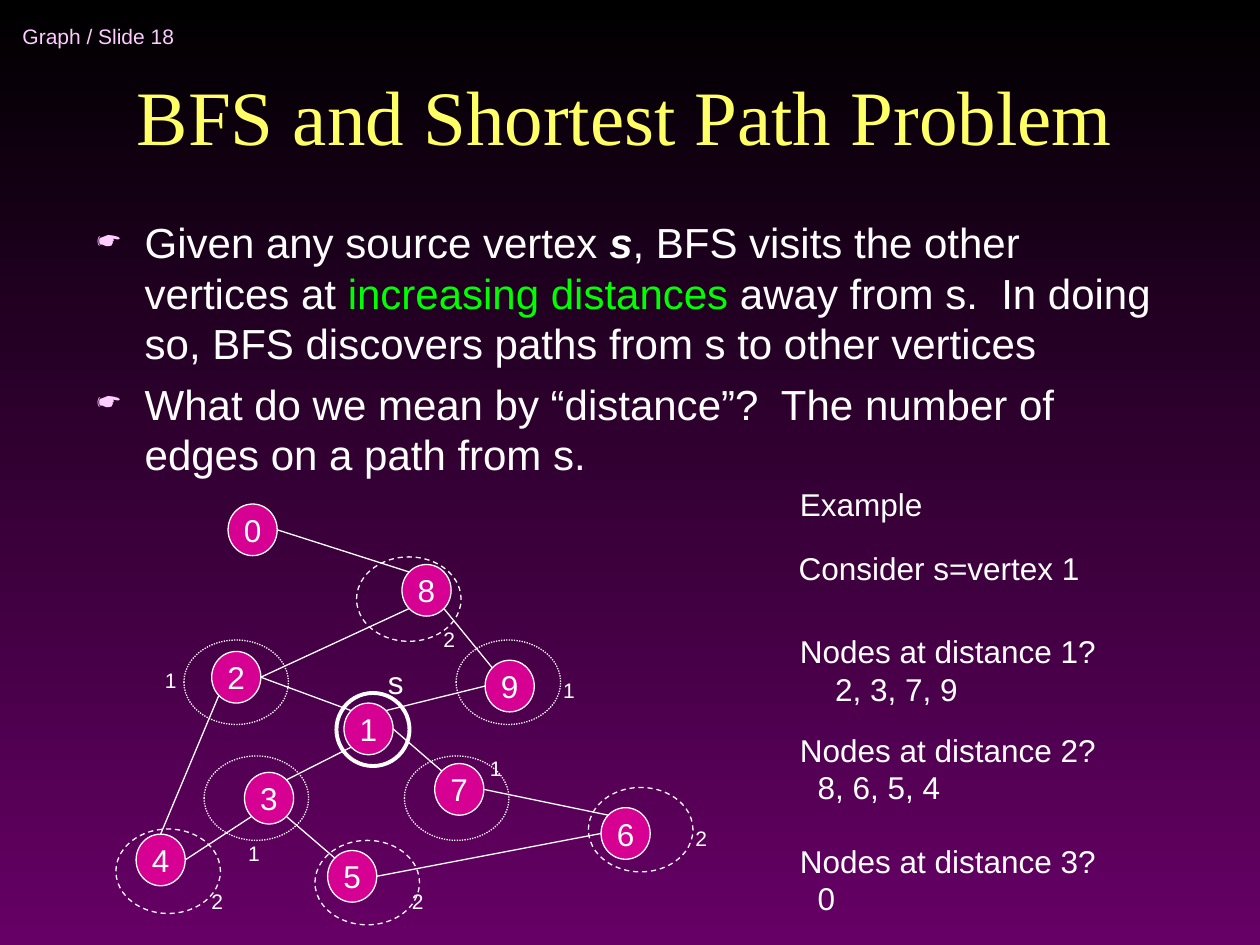
from lxml.etree import SubElement
from pptx import Presentation
from pptx.dml.color import RGBColor
from pptx.enum.dml import MSO_LINE
from pptx.enum.shapes import MSO_CONNECTOR, MSO_SHAPE
from pptx.enum.text import MSO_ANCHOR, PP_ALIGN
from pptx.oxml.ns import qn
from pptx.util import Inches, Pt

COLORS = {
    "night": "000000",
    "purple": "660066",
    "white": "FFFFFF",
    "yellow": "FFFF66",
    "pink": "FFCCFF",
    "green": "00FF00",
    "magenta": "D60093",
}

NODE_SIZE = (0.39, 0.41)
RING_SIZE = (0.83, 0.67)
LABEL_SIZE = (0.29, 0.3)

# Positions inside the graph box
NODES = {
    0: (0.89, 0), 1: (1.81, 1.58), 2: (0.76, 1.17), 3: (1.02, 2.13),
    4: (0.16, 2.62), 5: (1.68, 2.75), 6: (3.85, 2.41), 7: (2.53, 2.06),
    8: (2.27, 0.48), 9: (2.93, 1.24),
}
DIAGONAL = 0.71
SITES = {
    "top": (0, -1), "left": (-1, 0), "right": (1, 0),
    "top left": (-DIAGONAL, -DIAGONAL), "top right": (DIAGONAL, -DIAGONAL),
    "bottom left": (-DIAGONAL, DIAGONAL), "bottom right": (DIAGONAL, DIAGONAL),
}
EDGES = [
    (0, "right", 8, "top left"),
    (8, "bottom right", 9, "top left"),
    (9, "left", 1, "top right"),
    (8, "bottom left", 2, "right"),
    (2, "right", 1, "top left"),
    (2, "bottom left", 4, "top"),
    (4, "right", 3, "bottom left"),
    (3, "top right", 1, "bottom left"),
    (3, "bottom right", 5, "top left"),
    (5, "right", 6, "left"),
    (1, "right", 7, "top left"),
    (7, "right", 6, "top left"),
]
# Distance: dash and (ring, label) positions
DISTANCES = {
    "1": (MSO_LINE.ROUND_DOT, [
        ((0.54, 1.08), (0.29, 1.25)), ((0.7, 2), (0.95, 2.62)),
        ((2.29, 2), (2.87, 1.95)), ((2.7, 1.08), (3.45, 1.33)),
    ]),
    "2": (MSO_LINE.DASH, [
        ((1.91, 0.42), (2.5, 0.92)), ((0, 2.58), (0.66, 3)),
        ((1.58, 2.67), (2.25, 3)), ((3.75, 2.25), (4.5, 2.5)),
    ]),
}
# Place inside the example box, size, lines with their indent
EXAMPLE = [
    (0.01, 0, 1.17, 0.4, [("Example", 0)]),
    (0, 0.51, 2.43, 0.4, [("Consider s=vertex 1", 0)]),
    (0.01, 1.17, 2.55, 0.7, [("Nodes at distance 1?", 0), ("2, 3, 7, 9", 0.28)]),
    (0.01, 1.95, 2.55, 0.7, [("Nodes at distance 2?", 0), ("8, 6, 5, 4", 0.14)]),
    (0.01, 2.83, 2.55, 0.7, [("Nodes at distance 3?", 0), ("0", 0.14)]),
]
BULLETS = [
    [("Given any source vertex ", {}),
     ("s", {"bold": True, "italic": True}),
     (", BFS visits the other vertices at ", {}),
     ("increasing distances", {"color": "green"}),
     (" away from s.  In doing so, BFS discovers paths from s to other vertices", {})],
    [("What do we mean by “distance”?  The number of edges on a path from s.", {})],
]


def rgb(name):
    return RGBColor.from_string(COLORS[name])


def add_span(para, text, **format_values):
    span = para.add_run()
    span.text = text
    values = {"name": "Arial", "size": 18, "color": "white", **format_values}
    span.font.color.rgb = rgb(values.pop("color"))
    values["size"] = Pt(values["size"])
    for key, value in values.items():
        setattr(span.font, key, value)


def add_text_box(page, left, top, width, height, wrap=False, anchor=MSO_ANCHOR.TOP):
    box = page.shapes.add_textbox(Inches(left), Inches(top), Inches(width), Inches(height))
    box.text_frame.word_wrap = wrap
    box.text_frame.vertical_anchor = anchor
    return box.text_frame


def add_label(page, left, top, width, height, text, **format_values):
    frame = add_text_box(page, left, top, width, height)
    add_span(frame.paragraphs[0], text, **format_values)


def add_ellipse(page, left, top, width, height, fill=None, weight=0.75, dash=None):
    ellipse = page.shapes.add_shape(
        MSO_SHAPE.OVAL, Inches(left), Inches(top), Inches(width), Inches(height))
    ellipse.shadow.inherit = False
    if fill:
        ellipse.fill.solid()
        ellipse.fill.fore_color.rgb = rgb(fill)
    else:
        ellipse.fill.background()
    ellipse.line.color.rgb = rgb("white")
    ellipse.line.width = Pt(weight)
    if dash:
        ellipse.line.dash_style = dash
    return ellipse


def set_background(page):
    fill = page.background.fill
    fill.gradient()
    fill.gradient_angle = 270
    for stop, position, color in zip(fill.gradient_stops, (0, 1), ("night", "purple")):
        stop.position = position
        stop.color.rgb = rgb(color)


def add_header(page, left, top, width, height):
    frame = add_text_box(page, left, top, width, height, anchor=MSO_ANCHOR.MIDDLE)
    add_span(frame.paragraphs[0], "Graph / Slide 18", size=12, color="pink")


def add_title(page, left, top, width, height):
    frame = add_text_box(page, left, top, width, height, True, MSO_ANCHOR.BOTTOM)
    para = frame.paragraphs[0]
    para.alignment = PP_ALIGN.CENTER
    add_span(para, "BFS and Shortest Path Problem",
             name="Times New Roman", size=44, color="yellow")


def set_bullet(para):
    properties = para._p.get_or_add_pPr()
    properties.set("marL", str(Inches(0.38)))
    properties.set("indent", str(-Inches(0.38)))
    color = SubElement(properties, qn("a:buClr"))
    SubElement(color, qn("a:srgbClr"), val=COLORS["pink"])
    SubElement(properties, qn("a:buSzPct"), val="75000")
    SubElement(properties, qn("a:buChar"), char="☛")


def add_body(page, left, top, width, height):
    frame = add_text_box(page, left, top, width, height, wrap=True)
    for index, spans in enumerate(BULLETS):
        para = frame.add_paragraph() if index else frame.paragraphs[0]
        set_bullet(para)
        if index:
            para.space_before = Pt(6)
        for text, format_values in spans:
            add_span(para, text, size=24, **format_values)


def add_graph(page, left, top):
    def site_point(node, site):
        return [Inches(origin + corner + size / 2 * (1 + step))
                for origin, corner, size, step
                in zip((left, top), NODES[node], NODE_SIZE, SITES[site])]

    for number, (x, y) in NODES.items():
        node = add_ellipse(page, left + x, top + y, *NODE_SIZE, fill="magenta")
        node.text_frame.word_wrap = False
        node.text_frame.vertical_anchor = MSO_ANCHOR.MIDDLE
        para = node.text_frame.paragraphs[0]
        para.alignment = PP_ALIGN.CENTER
        add_span(para, str(number))
    for start, start_site, end, end_site in EDGES:
        edge = page.shapes.add_connector(
            MSO_CONNECTOR.STRAIGHT, *site_point(start, start_site), *site_point(end, end_site))
        edge.line.color.rgb = rgb("white")
        edge.line.width = Pt(0.75)
        SubElement(edge._element.spPr, qn("a:effectLst"))
    for distance, (dash, places) in DISTANCES.items():
        for (ring_x, ring_y), (label_x, label_y) in places:
            add_ellipse(page, left + ring_x, top + ring_y, *RING_SIZE, dash=dash)
            add_label(page, left + label_x, top + label_y, *LABEL_SIZE, distance, size=12)
    add_ellipse(page, left + 1.75, top + 1.5, 0.58, 0.58, weight=2.25)
    add_label(page, left + 2.06, top + 1.21, 0.32, 0.4, "s")


def add_example(page, left, top):
    for x, y, width, height, lines in EXAMPLE:
        frame = add_text_box(page, left + x, top + y, width, height)
        for index, (text, indent) in enumerate(lines):
            para = frame.add_paragraph() if index else frame.paragraphs[0]
            if indent:
                para._p.get_or_add_pPr().set("marL", str(Inches(indent)))
            add_span(para, text)


def main():
    deck = Presentation()
    deck.slide_width, deck.slide_height = Inches(10), Inches(7.5)
    page = deck.slides.add_slide(deck.slide_layouts[6])
    set_background(page)
    add_header(page, 0.08, 0.08, 2.75, 0.42)
    add_title(page, 0.67, 0.25, 8.58, 1.08)
    add_body(page, 0.67, 1.67, 8.58, 5.42)
    add_graph(page, 0.92, 4)
    add_example(page, 6.24, 3.8)
    deck.save("out.pptx")


if __name__ == "__main__":
    main()
